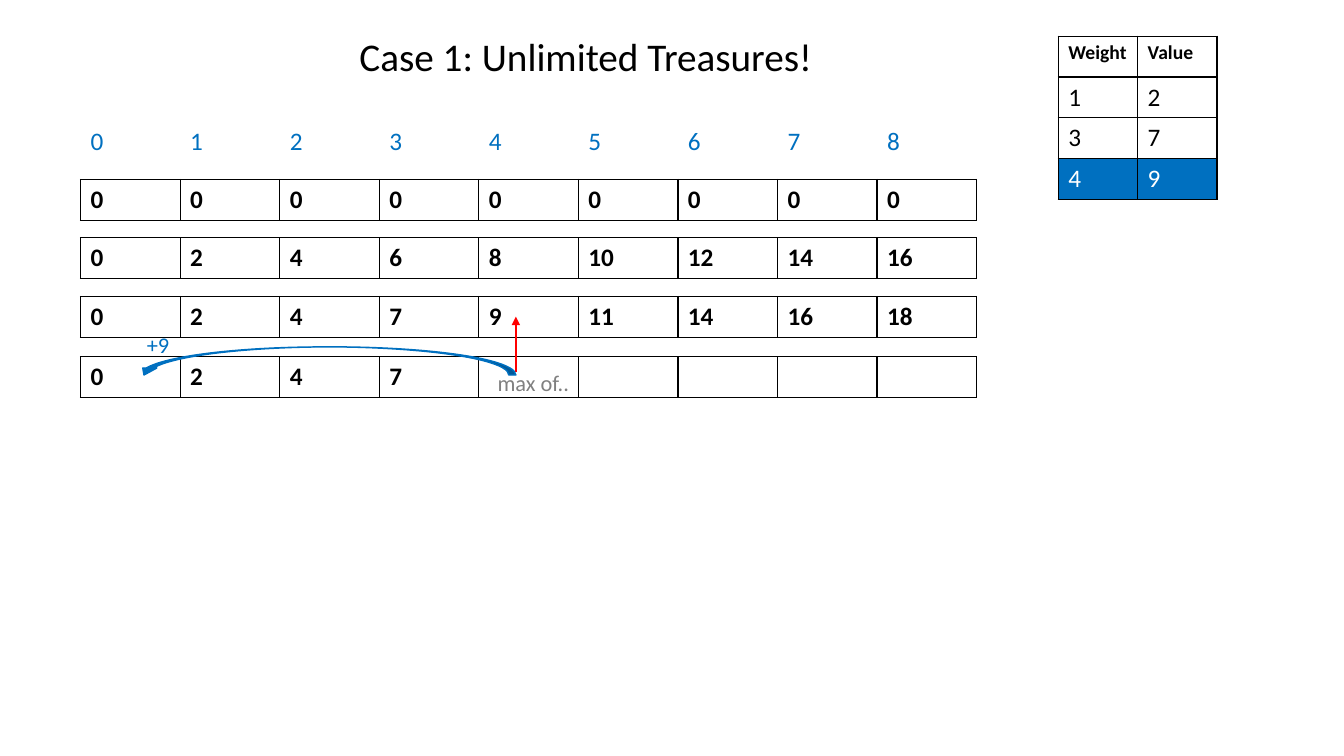
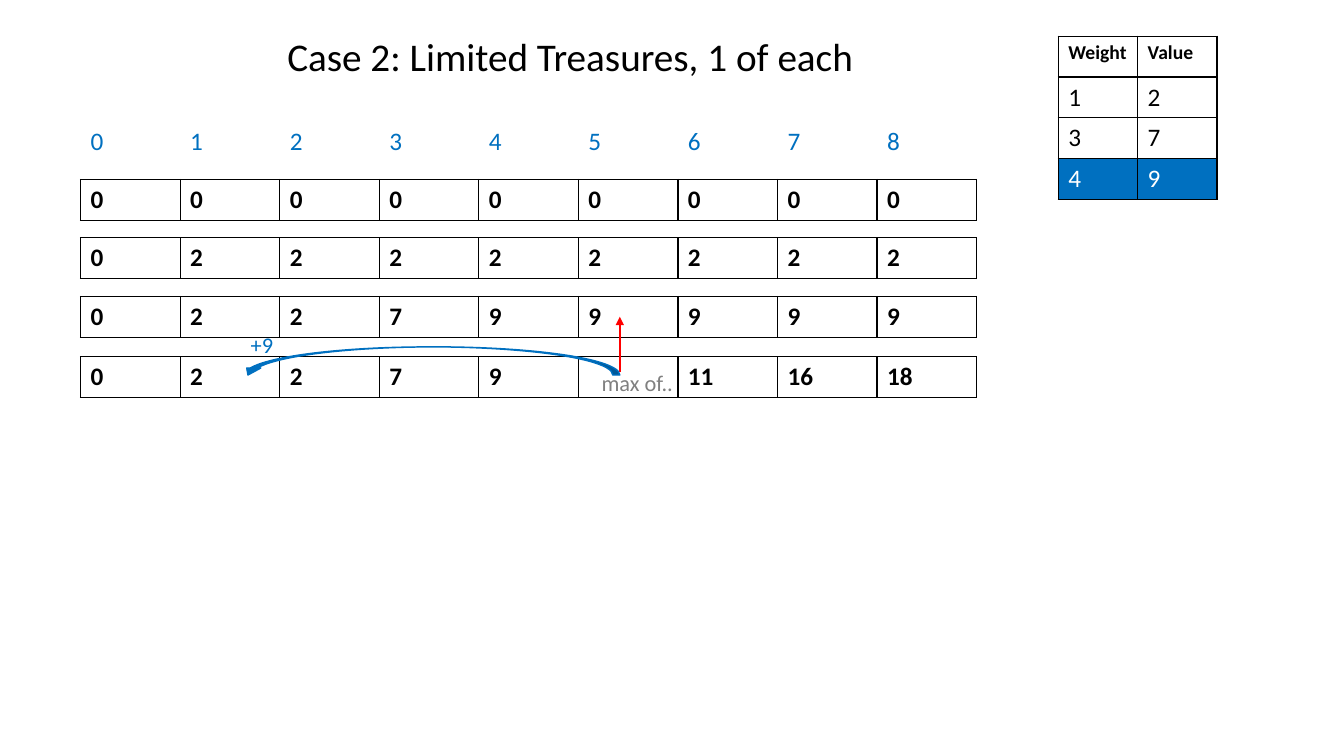
import dataclasses
import pptx
import pptx.dml.color
import pptx.enum.shapes
import pptx.oxml
import pptx.oxml.ns
import pptx.util

Cm = pptx.util.Cm
Pt = pptx.util.Pt


@dataclasses.dataclass(frozen=True)
class Theme:
    font: str = "Calibri"
    black: str = "000000"
    white: str = "FFFFFF"
    blue: str = "0070C0"
    gray: str = "808080"
    red: str = "FF0000"
    title: int = 28
    body: int = 18
    label: int = 16
    head: int = 14
    line: int = 1


THEME = Theme()
LEFT, COL, ROW = 2.03, 2.51, 1.03
INDEX_TOP = 3.07
TOPS = (4.52, 5.99, 7.47, 8.99)
TREASURES = (("Weight", "Value"), (1, 2), (3, 7), (4, 9))

CASES = (
    # title, title left, title width, step left, rows of best values
    ("Case 1: Unlimited Treasures!", 8.81, 12.04, 3.45, (
        [0] * 9,
        range(0, 17, 2),
        (0, 2, 4, 7, 9, 11, 14, 16, 18),
        (0, 2, 4, 7, "", "", "", "", ""))),
    ("Case 2: Limited Treasures, 1 of each", 6.99, 14.94, 6.07, (
        [0] * 9,
        [0] + [2] * 8,
        [0, 2, 2, 7] + [9] * 5,
        (0, 2, 2, 7, 9, "", 11, 16, 18))),
)


def rgb(color):
    return pptx.dml.color.RGBColor.from_string(color)


def style(para, size, color, bold=False):
    font = para.font
    font.name, font.size, font.bold = THEME.font, Pt(size), bold
    font.color.rgb = rgb(color)


def add_text(shapes, text, left, top, width, height, size, color):
    box = shapes.add_textbox(Cm(left), Cm(top), Cm(width), Cm(height))
    box.text_frame.word_wrap = True
    para = box.text_frame.paragraphs[0]
    para.text = text
    style(para, size, color)


def add_edges(cell):
    """Rule all four sides of a cell."""
    props = cell._tc.get_or_add_tcPr()
    for index, side in enumerate("LRTB"):
        props.insert(index, pptx.oxml.parse_xml(
            f'<a:ln{side} {pptx.oxml.ns.nsdecls("a")} w="{Pt(THEME.line)}">'
            f'<a:solidFill><a:srgbClr val="{THEME.black}"/></a:solidFill>'
            f'</a:ln{side}>'))


def add_grid(shapes, rows, left, top, col, look, ruled=True):
    """Draw a table; look(row) gives its size, colour, bold and fill."""
    wide = len(rows[0])
    table = shapes.add_table(len(rows), wide, Cm(left), Cm(top),
                             Cm(col * wide), Cm(ROW * len(rows))).table
    table.first_row = table.horz_banding = False
    for column in table.columns:
        column.width = Cm(col)
    for r, row in enumerate(rows):
        size, color, bold, fill = look(r)
        for c, value in enumerate(row):
            cell = table.cell(r, c)
            para = cell.text_frame.paragraphs[0]
            para.text = str(value)
            style(para, size, color, bold)
            if fill:
                cell.fill.solid()
                cell.fill.fore_color.rgb = rgb(fill)
            else:
                cell.fill.background()
            if ruled:
                add_edges(cell)


def index_look(row):
    return THEME.body, THEME.blue, False, None


def value_look(row):
    return THEME.body, THEME.black, True, None


def treasure_look(row):
    if row == 0:
        return THEME.head, THEME.black, True, None
    if row == len(TREASURES) - 1:
        return THEME.body, THEME.white, False, THEME.blue
    return THEME.body, THEME.black, False, None


def add_arrow(shapes, x, start, end):
    line = shapes.add_connector(pptx.enum.shapes.MSO_CONNECTOR.STRAIGHT,
                                Cm(x), Cm(start), Cm(x), Cm(end))
    line.line.color.rgb = rgb(THEME.red)
    line.line.width = Pt(THEME.line)
    names = pptx.oxml.ns.nsdecls("a")
    line.line._get_or_add_ln().append(
        pptx.oxml.parse_xml(f'<a:tailEnd {names} type="triangle"/>'))
    line._element.spPr.append(pptx.oxml.parse_xml(f"<a:effectLst {names}/>"))


def add_curve(shapes, left, top, width, height):
    curve = shapes.add_shape(pptx.enum.shapes.MSO_SHAPE.CURVED_UP_ARROW,
                             Cm(left), Cm(top), Cm(width), Cm(height))
    curve.rotation = 180
    curve.shadow.inherit = False
    curve.fill.solid()
    curve.fill.fore_color.rgb = curve.line.color.rgb = rgb(THEME.blue)
    curve.line.width = Pt(THEME.line)


def add_step(slide, left):
    """Show the two cells that the next value is chosen from."""
    shapes = slide.shapes.add_group_shape().shapes
    width = 9.55
    add_arrow(shapes, left + width, 9.37, 7.98)
    add_text(shapes, "+9", left, 8.23, 1.2, 0.94, THEME.label, THEME.blue)
    add_text(shapes, "max of..", left + 8.84, 9.17, 6.5, 0.94,
             THEME.label, THEME.gray)
    add_curve(shapes, left, 8.74, width, 0.71)


def add_case(deck, title, left, width, step, rows):
    slide = deck.slides.add_slide(deck.slide_layouts[6])
    shapes = slide.shapes
    add_text(shapes, title, left, 0.69, width, 1.45, THEME.title, THEME.black)
    add_grid(shapes, [range(9)], LEFT, INDEX_TOP, COL, index_look, ruled=False)
    for top, row in zip(TOPS, rows):
        add_grid(shapes, [row], LEFT, top, COL, value_look)
    add_grid(shapes, TREASURES, 26.67, 0.91, 2, treasure_look)
    add_step(slide, step)


def main():
    deck = pptx.Presentation()
    deck.slide_width, deck.slide_height = Cm(33.87), Cm(19.05)
    for case in CASES:
        add_case(deck, *case)
    deck.save("out.pptx")


if __name__ == "__main__":
    main()
